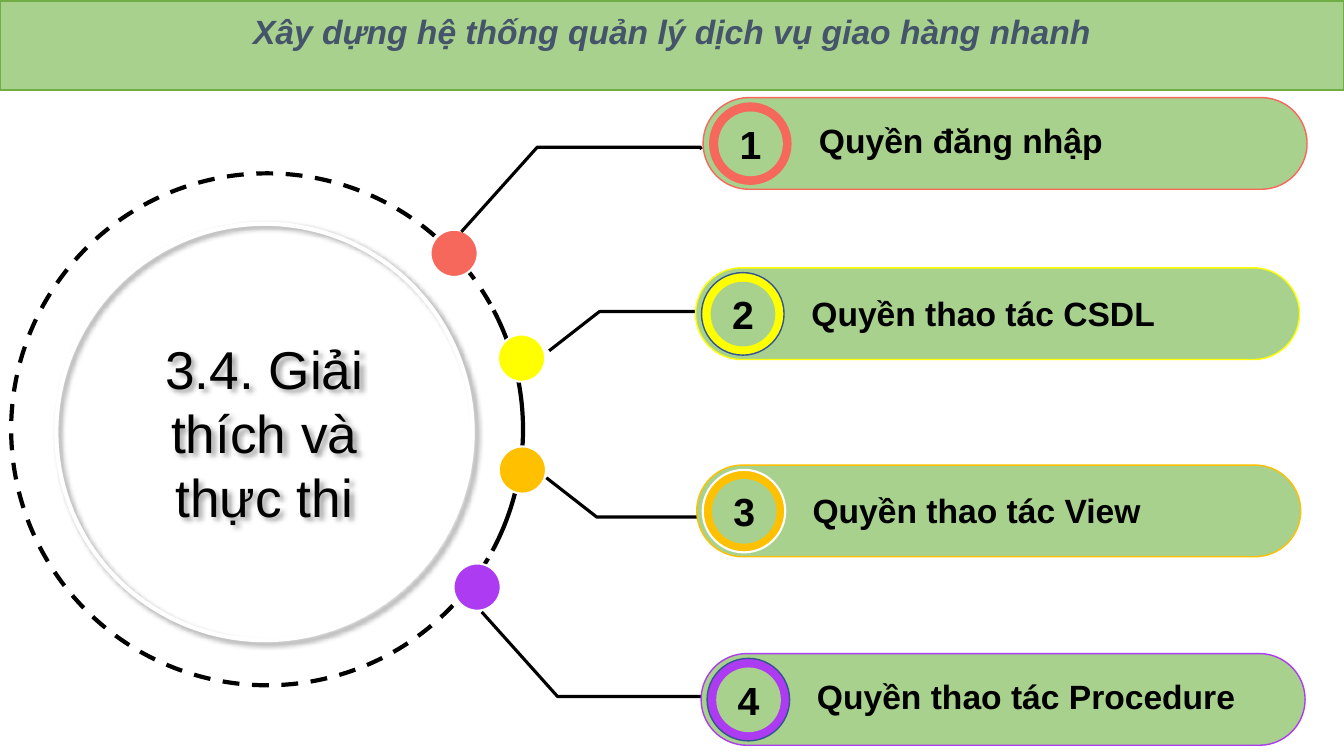
from lxml.etree import SubElement
from pptx import Presentation
from pptx.dml.color import RGBColor
from pptx.enum.dml import MSO_LINE_DASH_STYLE as Dash
from pptx.enum.shapes import MSO_SHAPE as Preset
from pptx.enum.text import MSO_ANCHOR as Anchor, MSO_AUTO_SIZE as AutoSize, PP_ALIGN as Align
from pptx.oxml.ns import qn
from pptx.util import Cm, Pt

BLACK = RGBColor(0x00, 0x00, 0x00)
WHITE = RGBColor(0xFF, 0xFF, 0xFF)
SLATE = RGBColor(0x44, 0x54, 0x6A)
LEAF = RGBColor(0xA9, 0xD1, 0x8E)
GREEN = RGBColor(0x70, 0xAD, 0x47)
NAVY = RGBColor(0x32, 0x54, 0x91)
CORAL = RGBColor(0xF6, 0x67, 0x5C)
YELLOW = RGBColor(0xFF, 0xFF, 0x00)
AMBER = RGBColor(0xFF, 0xC0, 0x00)
PURPLE = RGBColor(0xAC, 0x3B, 0xF1)

HEADER = "Xây dựng hệ thống quản lý dịch vụ giao hàng nhanh"
TOPIC = "3.4. Giải thích và thực thi"
RIGHTS = [
    dict(title="Quyền đăng nhập", color=CORAL, rim=None, bar=(17.72, 2.46),
         title_drop=0.43, dot=(10.85, 5.79),
         lead=[(11.63, 5.84), (13.54, 3.71), (17.65, 3.71), (17.68, 3.76)]),
    dict(title="Quyền thao tác CSDL", color=YELLOW, rim=(NAVY, 1), bar=(17.53, 6.75),
         title_drop=0.51, dot=(12.55, 8.43),
         lead=[(17.7, 7.85), (15.11, 7.85), (13.84, 8.84)]),
    dict(title="Quyền thao tác View", color=AMBER, rim=(WHITE, 1.5), bar=(17.56, 11.72),
         title_drop=0.51, dot=(12.57, 11.25),
         lead=[(17.63, 13.03), (15.04, 13.03), (13.77, 12.04)]),
    dict(title="Quyền thao tác Procedure", color=PURPLE, rim=(NAVY, 1), bar=(17.67, 16.47),
         title_drop=0.43, dot=(11.43, 14.2),
         lead=[(12.14, 15.42), (14.05, 17.55), (18.16, 17.55), (18.19, 17.5)]),
]

HEADER_FONT = dict(name="Arial", size=Pt(24), bold=True, italic=True)
TOPIC_FONT = dict(name="Arial", size=Pt(38), bold=False)
NUMBER_FONT = dict(name="Arial", size=Pt(28), bold=True)
TITLE_FONT = dict(name="Arial", size=Pt(24), bold=True)

ORBIT = (0.28, 4.37, 12.9, 12.9)
DOT = 1.19
BAR_W, BAR_H = 15.22, 2.31
RING, RING_DX, RING_DY = 2.08, 0.15, 0.12
HOLE, HOLE_INSET = 1.63, 0.23
TITLE_DX, TITLE_W, TITLE_H = 2.67, 12.55, 1.27


def paint(shape, fill=None, line=None):
    shape.shadow.inherit = False
    if fill is None:
        shape.fill.background()
    else:
        shape.fill.solid()
        shape.fill.fore_color.rgb = fill
    if line is None:
        shape.line.fill.background()
    else:
        color, width = line
        shape.line.color.rgb = color
        shape.line.width = Pt(width)
    return shape


def place(shapes, preset, box, fill=None, line=None):
    return paint(shapes.add_shape(preset, *map(Cm, box)), fill, line)


def write(shape, text, font, color=BLACK, align=Align.CENTER, anchor=Anchor.MIDDLE):
    frame = shape.text_frame
    frame.word_wrap = True
    frame.vertical_anchor = anchor
    paragraph = frame.paragraphs[0]
    paragraph.alignment = align
    run = paragraph.add_run()
    run.text = text
    for key, value in font.items():
        setattr(run.font, key, value)
    run.font.color.rgb = color
    return frame


def orbit(shapes, rotation, angles, dash=None):
    arc = place(shapes, Preset.ARC, ORBIT, line=(BLACK, 3))
    arc.rotation = rotation
    for index, angle in enumerate(angles):
        arc.adjustments[index] = angle
    if dash is not None:
        arc.line.dash_style = dash


def cast_shadow(shape):
    effects = shape._element.spPr.find(qn("a:effectLst"))
    shadow = SubElement(effects, qn("a:outerShdw"), blurRad=str(Pt(4)), dist=str(Pt(3)),
                        dir="2700000", algn="tl", rotWithShape="0")
    tone = SubElement(shadow, qn("a:srgbClr"), val=str(BLACK))
    SubElement(tone, qn("a:alpha"), val="40000")


def draw_right(shapes, number, right):
    color, (x, y) = right["color"], right["bar"]
    place(shapes, Preset.OVAL, (*right["dot"], DOT, DOT), color, (WHITE, 1.5))

    start, *turns = [(Cm(px), Cm(py)) for px, py in right["lead"]]
    lead = shapes.build_freeform(*start, scale=1.0)
    lead.add_line_segments(turns, close=False)
    paint(lead.convert_to_shape(), line=(BLACK, 2.25))

    bar = place(shapes, Preset.ROUNDED_RECTANGLE, (x, y, BAR_W, BAR_H), LEAF, (color, 1))
    bar.adjustments[0] = 0.5
    ring_x, ring_y = x + RING_DX, y + RING_DY
    place(shapes, Preset.OVAL, (ring_x, ring_y, RING, RING), color, right["rim"])
    hole = place(shapes, Preset.OVAL,
                 (ring_x + HOLE_INSET, ring_y + HOLE_INSET, HOLE, HOLE), LEAF)
    write(hole, str(number), NUMBER_FONT)

    title = shapes.add_textbox(Cm(x + TITLE_DX), Cm(y + right["title_drop"]),
                               Cm(TITLE_W), Cm(TITLE_H))
    frame = write(title, right["title"], TITLE_FONT, align=Align.LEFT, anchor=Anchor.TOP)
    frame.auto_size = AutoSize.SHAPE_TO_FIT_TEXT


def main():
    deck = Presentation()
    deck.slide_width, deck.slide_height = Cm(33.87), Cm(19.05)
    slide = deck.slides.add_slide(deck.slide_layouts[6])

    header = place(slide.shapes, Preset.RECTANGLE, (0, 0.03, 33.87, 2.24), LEAF, (GREEN, 1))
    write(header, HEADER, HEADER_FONT, SLATE).margin_bottom = Cm(0.84)

    hub = slide.shapes.add_group_shape().shapes
    orbit(hub, 120.3, (162, 126.73), Dash.DASH)
    topic = place(hub, Preset.OVAL, (1.42, 5.64, 10.49, 10.49), line=(WHITE, 3))
    cast_shadow(topic)
    write(topic, TOPIC, TOPIC_FONT)
    orbit(hub, 183.7, (89.15, 122.76))

    for number, right in enumerate(RIGHTS, 1):
        draw_right(slide.shapes.add_group_shape().shapes, number, right)

    deck.save("out.pptx")


if __name__ == "__main__":
    main()
